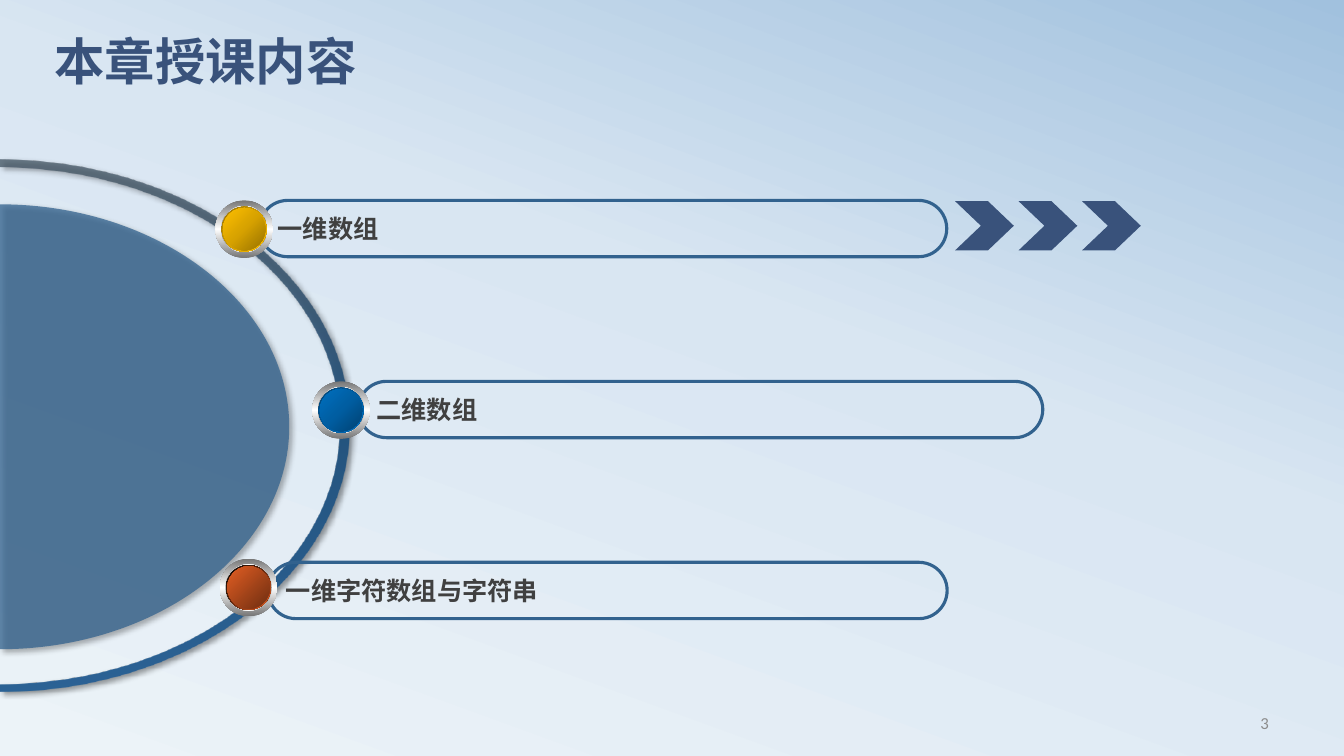
from dataclasses import dataclass

from lxml.etree import SubElement as Sub
from pptx import Presentation
from pptx.dml.color import RGBColor as Rgb
from pptx.enum.shapes import MSO_SHAPE as Kind
from pptx.enum.text import MSO_ANCHOR as Anchor, PP_ALIGN as Align
from pptx.oxml.ns import qn
from pptx.util import Cm, Pt


@dataclass(frozen=True)
class Theme:
    """Colours, fonts and type sizes; a stop is (percent, colour, opacity)."""
    navy = "39527B"
    steel = "32628E"
    ink = "404040"
    pale = "8C8C8C"
    shade = "000000"
    latin = "Calibri"
    asian = "Noto Sans CJK SC"
    head = 36
    body = 18
    note = 12
    sky = ((0, "ECF3F8", 100), (58, "D9E6F2", 100), (100, "A1C1DE", 100))
    ring = ((0, "445462", 75), (50, "24537D", 100), (100, "2B6295", 100))
    disc = ((0, steel, 75),)
    rim = ((0, "767676", 100), (50, "FFFFFF", 100), (100, "767676", 100))
    inset = ((0, "A2A2A2", 100), (50, "FFFFFF", 100), (100, "A2A2A2", 100))
    gold = ((0, "977200", 100), (50, "D7A200", 100), (100, "FFC000", 100))
    blue = ((0, "004272", 100), (50, "005EA2", 100), (100, "0070C0", 100))
    ember = ((0, "000000", 100), (100, "E35E23", 100))
    rust = ((0, "E35E23", 100), (100, "6E2E11", 100))


LOOK = Theme()
BEND = 0.55  # handle length of a quarter ellipse


def apply(item, form):
    """Set each attribute of item from a dict of format values."""
    for name, value in form.items():
        setattr(item, name, value)


def tint(node, hue, part):
    """Add a colour with an opacity in percent."""
    color = Sub(node, qn("a:srgbClr"), val=hue)
    if part < 100:
        Sub(color, qn("a:alpha"), val=str(part * 1000))


def blend(fill, host, stops, turn=None):
    """Fill by stops: plain for one, else linear by turn or round."""
    fill.solid()
    plain = next(host.iter(qn("a:solidFill")))
    if len(stops) == 1:
        tint(plain, *stops[0][1:])
        return
    grad = plain.makeelement(qn("a:gradFill"), {"rotWithShape": "1"})
    plain.getparent().replace(plain, grad)
    chain = Sub(grad, qn("a:gsLst"))
    for spot, hue, part in stops:
        tint(Sub(chain, qn("a:gs"), pos=str(spot * 1000)), hue, part)
    if turn is None:
        focus = Sub(grad, qn("a:path"), {"path": "circle"})
        Sub(focus, qn("a:fillToRect"), l="100000", t="100000")
    else:
        Sub(grad, qn("a:lin"), ang=str(turn * 60000), scaled="0")


def form(shapes, kind, box):
    """Add a preset shape without shadow, fill or line."""
    shape = shapes.add_shape(kind, *map(Cm, box))
    shape.shadow.inherit = False
    shape.fill.background()
    shape.line.fill.background()
    return shape


def write(shape, text, size, hue, bold=False, face=LOOK.latin,
          frame=None, para=None):
    """Put one styled line of text into a shape."""
    apply(shape.text_frame, frame or {})
    line = shape.text_frame.paragraphs[0]
    apply(line, para or {})
    run = line.add_run()
    run.text = text
    apply(run.font, {"size": Pt(size), "bold": bold, "name": face})
    run.font.color.rgb = Rgb.from_string(hue)
    Sub(run.font._element, qn("a:ea"), typeface=LOOK.asian)


def label(shapes, box, *words, **style):
    """Add a text box."""
    write(shapes.add_textbox(*map(Cm, box)), *words, **style)


def arc(wide, high, mid):
    """Return ends and handles of the right half of an ellipse, downwards."""
    spots = ((0, -1), (BEND, -1), (1, -BEND), (1, 0),
             (1, BEND), (BEND, 1), (0, 1))
    return [(Cm(wide * x), Cm(mid + high * y)) for x, y in spots]


def outline(shapes, arcs, stops):
    """Draw a closed outline of half ellipses with a soft shadow."""
    steps = [step for a in arcs for step in (a[:1], a[1:4], a[4:])][1:]
    pen = shapes.build_freeform(*arcs[0][0])
    pen.add_line_segments([step[-1] for step in steps], close=True)
    shape = pen.convert_to_shape()
    props = shape.element.spPr
    for side, step in zip(list(props.iter(qn("a:lnTo"))), steps):
        if len(step) == 3:
            curve = side.makeelement(qn("a:cubicBezTo"))
            for x, y in step:
                Sub(curve, qn("a:pt"), x=str(x - shape.left),
                    y=str(y - shape.top))
            side.getparent().replace(side, curve)
    blend(shape.fill, props, stops, 90)
    shape.line.fill.background()
    shape.shadow.inherit = False
    cast = Sub(props.find(qn("a:effectLst")), qn("a:outerShdw"),
               blurRad=str(Pt(4)), dist=str(Pt(3)), dir=str(45 * 60000),
               algn="tl", rotWithShape="0")
    tint(cast, LOOK.shade, 40)


def dial(shapes, box):
    """Draw the half ring and the half disc inside it."""
    left, top, wide, high = box
    tall = high / 2
    mid = top + tall
    inner = arc(wide - 0.25, tall - 0.2, mid)
    outline(shapes, (arc(wide, tall, mid), inner[::-1]), LOOK.ring)
    outline(shapes, (arc(wide - 1.53, tall - 1.1, mid + 0.04),), LOOK.disc)


def ball(shapes, box, layers):
    """Stack the circles of a button, each set in from the edge."""
    left, top, size = box
    group = shapes.add_group_shape().shapes
    metal = ((LOOK.rim, 90), (LOOK.inset, 0))
    for gap, (stops, turn) in zip((0, 0.14, 0.16, 0.19), metal + layers):
        side = size - 2 * gap
        disc = form(group, Kind.OVAL, (left + gap, top + gap, side, side))
        blend(disc.fill, disc.element.spPr, stops, turn)


def topic(shapes, box, text):
    """Draw an outlined pill with its topic."""
    pill = form(shapes, Kind.ROUNDED_RECTANGLE, box)
    pill.adjustments[0] = 0.5
    pill.line.color.rgb = Rgb.from_string(LOOK.steel)
    pill.line.width = Pt(2.25)
    write(pill, text, LOOK.body, LOOK.ink, bold=True, face=LOOK.asian,
          frame={"word_wrap": False, "vertical_anchor": Anchor.MIDDLE},
          para={"alignment": Align.LEFT})


def arrows(shapes, box, count=3, pitch=1.6):
    """Draw a row of chevrons from the first one's box."""
    left, top, wide, high = box
    group = shapes.add_group_shape().shapes
    for i in range(count):
        mark = form(group, Kind.CHEVRON, (left + i * pitch, top, wide, high))
        mark.adjustments[0] = 0.525
        mark.fill.solid()
        mark.fill.fore_color.rgb = Rgb.from_string(LOOK.navy)


def agenda(shapes, box):
    """Place the topics, their buttons and the arrows of the first one."""
    left, top, pitch = box
    rows = (
        ("一维数组", 1.11, 17.32, 0, 0,
         ((LOOK.gold, 45), (LOOK.gold, None))),
        ("二维数组", 3.6, 17.25, 2.44, 0,
         ((LOOK.blue, 45), (LOOK.blue, None))),
        ("一维字符数组与字符串", 1.32, 17.12, 0.11, -0.09,
         ((LOOK.ember, 45), (LOOK.rust, 45))),
    )
    for i, (text, start, wide, shift, lift, layers) in enumerate(rows):
        row = top + i * pitch
        topic(shapes, (left + start, row, wide, 1.42), text)
        ball(shapes, (left + shift, row + lift, 1.45), layers)
    arrows(shapes, (left + 18.64, top + 0.02, 1.48, 1.24))


def build():
    """Make the slide and save the file."""
    deck = Presentation()
    apply(deck, {"slide_width": Cm(33.87), "slide_height": Cm(19.05)})
    slide = deck.slides.add_slide(deck.slide_layouts[6])
    shapes = slide.shapes
    blend(slide.background.fill, slide.element, LOOK.sky, 290)
    label(shapes, (28.5, 17.7, 3.73, 1.02), "3", LOOK.note, LOOK.pale,
          frame={"word_wrap": True, "vertical_anchor": Anchor.MIDDLE},
          para={"alignment": Align.RIGHT})
    label(shapes, (1.12, 0.93, 30.48, 2.39), "本章授课内容",
          LOOK.head, LOOK.navy, bold=True,
          frame={"word_wrap": True}, para={"line_spacing": 0.8})
    dial(shapes, (0, 4.01, 8.82, 13.41))
    agenda(shapes, (5.43, 5.05, 4.56))
    deck.save("out.pptx")


build()
